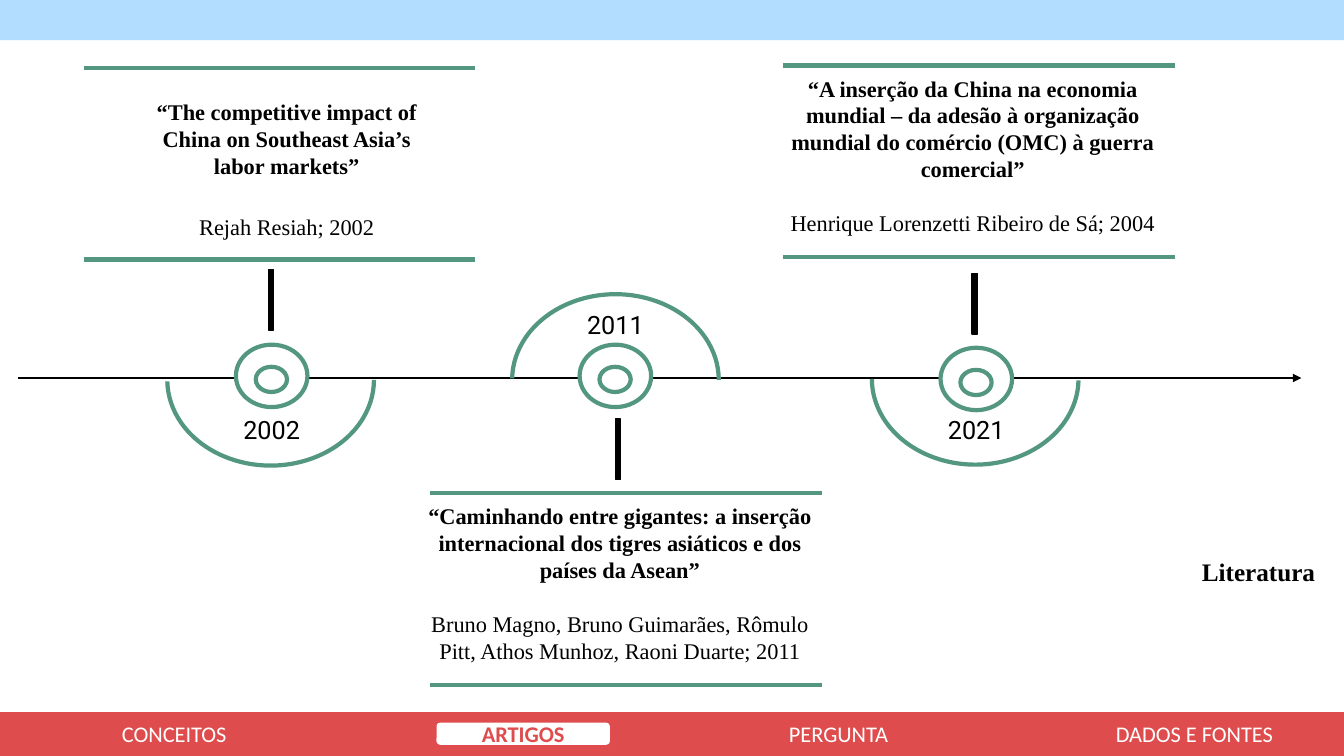
import pptx
import pptx.dml.color
import pptx.enum.shapes
import pptx.enum.text
import pptx.oxml
import pptx.oxml.ns
import pptx.util

Pt = pptx.util.Pt
SHAPE = pptx.enum.shapes.MSO_SHAPE
ANCHOR = pptx.enum.text.MSO_ANCHOR
CENTER = pptx.enum.text.PP_ALIGN.CENTER

GREEN, RED, SKY, BLACK, WHITE = "539780", "DE4C4D", "B2DDFF", "000000", "FFFFFF"
SERIF = "Times New Roman"


def color(target, value):
    target.rgb = pptx.dml.color.RGBColor.from_string(value)


def apply(target, values):
    for name, value in values.items():
        setattr(target, name, value)


class Timeline:
    frame_format = {
        "word_wrap": True,
        "auto_size": pptx.enum.text.MSO_AUTO_SIZE.NONE,
        "vertical_anchor": ANCHOR.TOP,
    }

    def __init__(self, slide):
        self.slide = slide
        self.shapes = slide.shapes

    def shape(self, kind, box, fill=None, line=None, weight=1):
        part = self.shapes.add_shape(kind, *map(Pt, box))
        part.shadow.inherit = False
        if fill:
            part.fill.solid()
            color(part.fill.fore_color, fill)
        else:
            part.fill.background()
        if line:
            color(part.line.color, line)
            part.line.width = Pt(weight)
        else:
            part.line.fill.background()
        return part

    def pin(self, left, top):
        self.shape(SHAPE.RECTANGLE, (left, top, 43.2, 3.6), BLACK, BLACK).rotation = 90

    def arc(self, left, top, angles):
        half = self.shape(SHAPE.ARC, (left, top, 147.6, 122.4), None, GREEN, 3)
        for index, angle in enumerate(angles):
            half.adjustments[index] = angle * 0.6

    def ring(self, left, top):
        self.shape(SHAPE.OVAL, (left, top, 51.1, 44.6), WHITE, GREEN, 3)
        self.shape(SHAPE.OVAL, (left + 14.2, top + 15.8, 22.3, 18), WHITE, GREEN, 3)

    def line(self, start, end, tint, weight, arrow=False):
        rule = self.shapes.add_connector(
            pptx.enum.shapes.MSO_CONNECTOR.STRAIGHT, *map(Pt, start + end))
        color(rule.line.color, tint)
        rule.line.width = Pt(weight)
        properties = rule._element.spPr
        if arrow:
            properties.get_or_add_ln().append(pptx.oxml.parse_xml(
                '<a:tailEnd %s type="triangle"/>' % pptx.oxml.ns.nsdecls("a")))
        properties.append(pptx.oxml.parse_xml(
            "<a:effectLst %s/>" % pptx.oxml.ns.nsdecls("a")))

    def put_text(self, holder, wording, size, family, tint=BLACK, bold=False, gap=0, **frame):
        text = holder.text_frame
        apply(text, {**self.frame_format, **frame})
        paragraph = text.paragraphs[0]
        if paragraph.runs:
            paragraph = text.add_paragraph()
            paragraph.space_before = Pt(gap)
        paragraph.alignment = CENTER
        run = paragraph.add_run()
        run.text = wording
        apply(run.font, {"name": family, "size": Pt(size), "bold": bold})
        color(run.font.color, tint)

    def title(self, wording, box):
        heading = self.shapes.title
        apply(heading, dict(zip(("left", "top", "width", "height"), map(Pt, box))))
        self.put_text(heading, wording, 18, SERIF, bold=True)

    def year(self, wording, left, top):
        label = self.shapes.add_textbox(*map(Pt, (left, top, 85.7, 28.8)))
        self.put_text(label, wording, 18, "Roboto")

    def article(self, name, authors, box, gap):
        card = self.shapes.add_textbox(*map(Pt, box))
        self.put_text(card, name, 16, SERIF, bold=True)
        self.put_text(card, authors, 16, SERIF, gap=gap, margin_top=Pt(21))

    def frame(self, left, top):
        for height in (top, top + 137):
            self.line((left, height), (left + 279.6, height), GREEN, 3)

    def tab(self, wording, left, width, active):
        fill, ink = (WHITE, RED) if active else (RED, WHITE)
        button = self.shape(SHAPE.ROUNDED_RECTANGLE, (left, 516.2, width, 15.8),
                            fill, None if active else RED)
        self.put_text(button, wording, 16, "Calibri", ink, active,
                      vertical_anchor=ANCHOR.MIDDLE)


UPPER, LOWER, LOWER_MIRRORED = (180.82, 0), (0, 179.18), (0.82, 180)

MILESTONES = [
    {"year": ("2002", 151.2, 292.3), "pin": (172.1, 212.4), "ring": (168.5, 246.2),
     "arc": (119.5, 210.2, LOWER), "frame": (59.8, 48.4),
     "article": ("“The competitive impact of China on Southeast Asia’s labor markets”",
                 "Rejah Resiah; 2002", (97.9, 49, 213.8, 147.6), 24.4)},
    {"year": ("2011", 396.7, 217.4), "pin": (419.8, 319), "ring": (414, 246.2),
     "arc": (365.8, 210.2, UPPER), "frame": (307.4, 352.1),
     "article": ("“Caminhando entre gigantes: a inserção internacional dos tigres "
                 "asiáticos e dos países da Asean”",
                 "Bruno Magno, Bruno Guimarães, Rômulo Pitt, Athos Munhoz, Raoni Duarte; 2011",
                 (298.8, 337.7, 288, 162.7), 19.4)},
    {"year": ("2021", 654.5, 292.3), "pin": (674.6, 215.3), "ring": (671.8, 248.4),
     "arc": (622.8, 209.5, LOWER_MIRRORED), "frame": (559.4, 46.8),
     "article": ("“A inserção da China na economia mundial – da adesão à organização "
                 "mundial do comércio (OMC) à guerra comercial”",
                 "Henrique Lorenzetti Ribeiro de Sá; 2004",
                 (550.8, 32.4, 288, 162.7), 19.4)},
]

TABS = [
    ("CONCEITOS", 62.6, 123.8, False),
    ("ARTIGOS", 311.8, 123.8, True),
    ("PERGUNTA", 537.1, 123.8, False),
    ("DADOS E FONTES", 770.4, 165.6, False),
]


def main():
    deck = pptx.Presentation()
    deck.slide_width, deck.slide_height = Pt(960), Pt(540)
    timeline = Timeline(deck.slides.add_slide(deck.slide_layouts[5]))

    timeline.title("Literatura", (848.2, 393.8, 101.5, 28.8))
    timeline.shape(SHAPE.RECTANGLE, (0, 0, 960, 28.8), SKY)
    timeline.line((13, 270), (929.5, 270), BLACK, 1.5, arrow=True)
    for milestone in MILESTONES:
        for part, values in milestone.items():
            getattr(timeline, part)(*values)
    timeline.shape(SHAPE.RECTANGLE, (0, 509, 960, 30.2), RED, RED)
    for tab in TABS:
        timeline.tab(*tab)

    deck.save("out.pptx")


if __name__ == "__main__":
    main()
